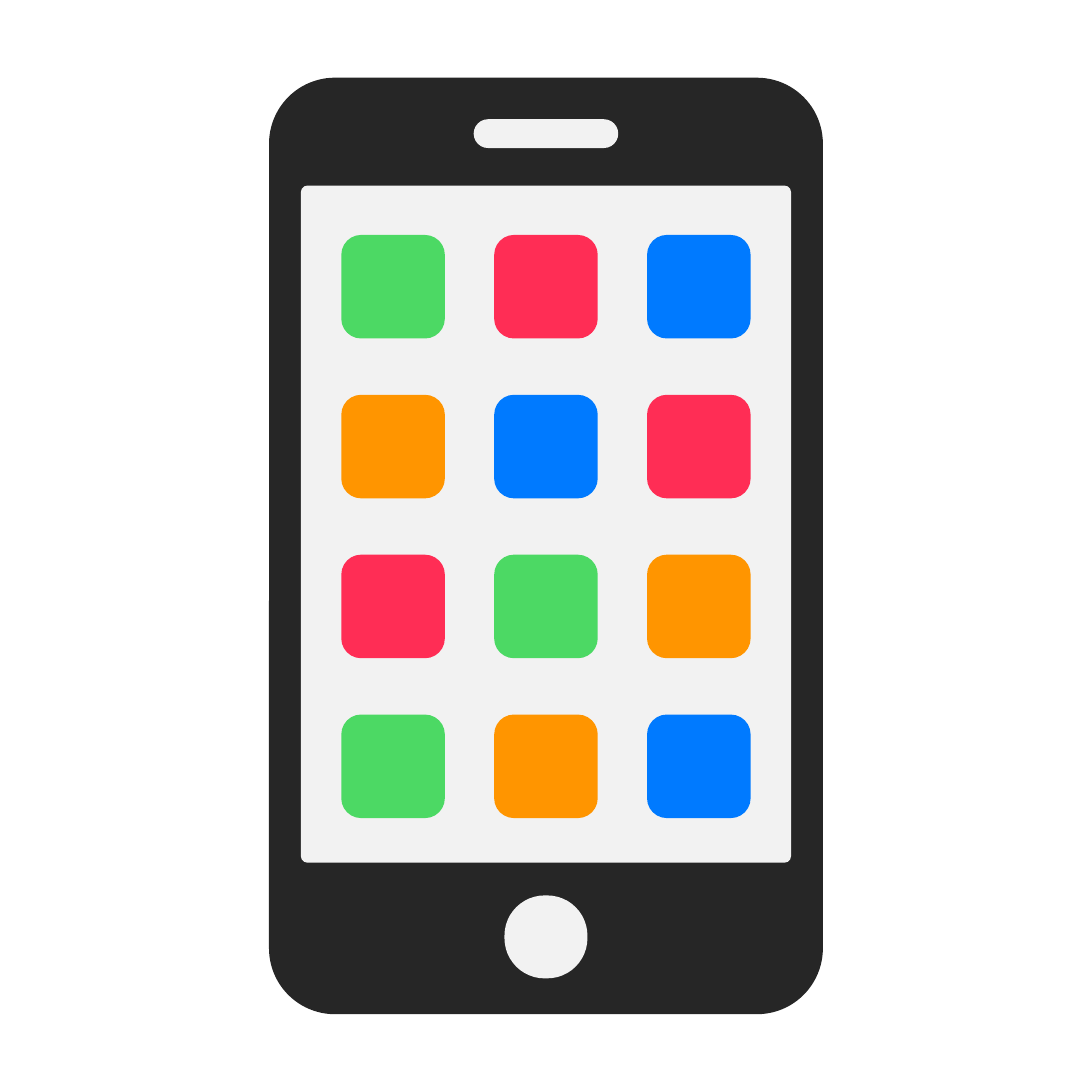
from pptx import Presentation
from pptx.dml.color import RGBColor
from pptx.enum.shapes import MSO_SHAPE as Shape
from pptx.util import Cm

THEME = {
    "body": "262626",
    "light": "F2F2F2",
    "green": "4CD964",
    "red": "FF2D55",
    "blue": "007AFF",
    "orange": "FF9500",
}
SLIDE_SIZE = 25
CENTER = SLIDE_SIZE / 2

presentation = Presentation()
presentation.slide_width = presentation.slide_height = Cm(SLIDE_SIZE)
slide = presentation.slides.add_slide(presentation.slide_layouts[6])


def add_rounded(center_x, top, width, height, corner, color):
    """Add a borderless rounded rectangle centred on center_x, in centimetres."""
    shape = slide.shapes.add_shape(
        Shape.ROUNDED_RECTANGLE,
        Cm(center_x - width / 2), Cm(top), Cm(width), Cm(height),
    )
    shape.adjustments[0] = corner
    shape.shadow.inherit = False
    shape.fill.solid()
    shape.fill.fore_color.rgb = RGBColor.from_string(THEME[color])
    shape.line.fill.background()


# Phone parts: top, width, height, corner, color
phone_parts = {
    "body": (1.78, 12.68, 21.44, 0.119, "body"),
    "speaker": (2.73, 3.31, 0.66, 0.5, "light"),
    "screen": (4.25, 11.22, 15.5, 0.013, "light"),
    "home button": (20.5, 1.9, 1.9, 0.485, "light"),
}
for placement in phone_parts.values():
    add_rounded(CENTER, *placement)

# App icons on an even grid
ICON_SIZE = 2.37
ICON_TOP = 5.38
COLUMN_STEP = 3.5
ROW_STEP = 3.66
icon_rows = [
    ("green", "red", "blue"),
    ("orange", "blue", "red"),
    ("red", "green", "orange"),
    ("green", "orange", "blue"),
]
for row, colors in enumerate(icon_rows):
    for column, color in enumerate(colors):
        add_rounded(
            CENTER + (column - 1) * COLUMN_STEP,
            ICON_TOP + row * ROW_STEP,
            ICON_SIZE, ICON_SIZE, 0.191, color,
        )

presentation.save("out.pptx")
